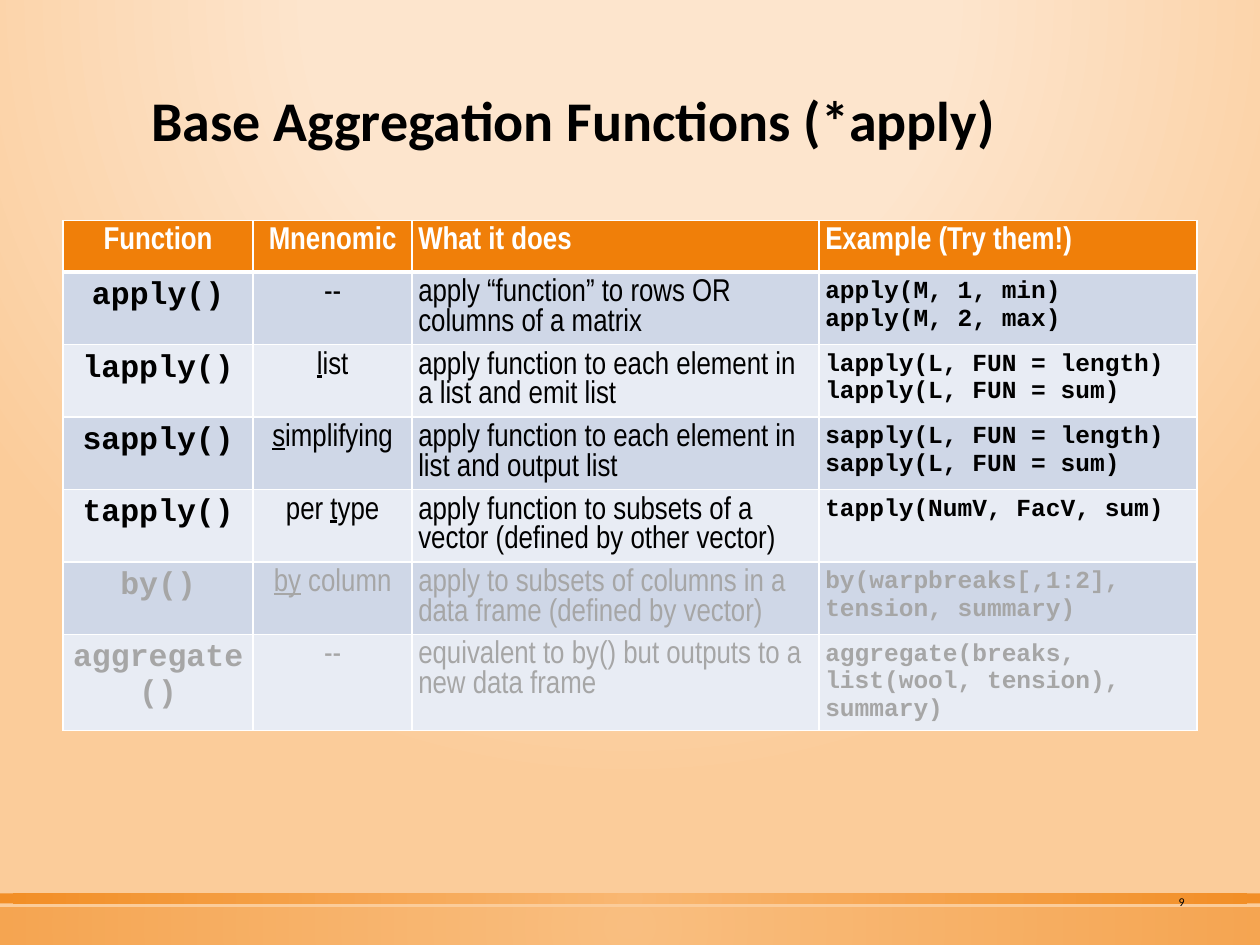
import copy

import pptx
import pptx.dml.color
import pptx.enum.shapes
import pptx.enum.text
import pptx.oxml
import pptx.oxml.ns
import pptx.util

Inches = pptx.util.Inches
Pt = pptx.util.Pt
ALIGN = pptx.enum.text.PP_ALIGN
MIDDLE = pptx.enum.text.MSO_ANCHOR.MIDDLE

COLORS = {
    "black": "000000", "white": "FFFFFF", "grey": "A6A6A6",
    "header": "F07F09", "band_dark": "CFD7E7", "band_light": "E8ECF4",
    "bar_inner": "F9B268", "bar_outer": "F07F09",
    "bg_inner": "FDE5CD", "bg_outer": "FBCC9A",
}
HEADERS = ["Function", "Mnenomic", "What it does", "Example (Try them!)"]
ROWS = [
    ["apply()", "--", "apply “function” to rows OR columns of a matrix",
     "apply(M, 1, min)\napply(M, 2, max)"],
    ["lapply()", "_l_ist", "apply function to each element in a list and emit list",
     "lapply(L, FUN = length)\nlapply(L, FUN = sum)"],
    ["sapply()", "_s_implifying", "apply function to each element in list and output list",
     "sapply(L, FUN = length)\nsapply(L, FUN = sum)"],
    ["tapply()", "per _t_ype", "apply function to subsets of a vector (defined by other vector)",
     "tapply(NumV, FacV, sum)"],
    ["by()", "_by_ column", "apply to subsets of columns in a data frame (defined by vector)",
     "by(warpbreaks[,1:2], tension, summary)"],
    ["aggregate()", "--", "equivalent to by() but outputs to a new data frame",
     "aggregate(breaks, list(wool, tension), summary)"],
]
GREYED = {"by()", "aggregate()"}
COLUMN_WIDTHS = [1.51, 1.26, 3.23, 3]
ROW_HEIGHTS = [0.41] + [0.57] * 5 + [0.76]
COLUMN_ALIGN = [ALIGN.CENTER, ALIGN.CENTER, ALIGN.LEFT, ALIGN.LEFT]
LINE_HEIGHT = {"Arial Narrow": 0.95, "Courier New": 1.13}
HEADER_FORMAT = {"name": "Arial Narrow", "size": Pt(18), "bold": True}
COLUMN_FORMATS = [
    {"name": "Courier New", "size": Pt(18), "bold": True},
    {"name": "Arial Narrow", "size": Pt(18), "bold": False},
    {"name": "Arial Narrow", "size": Pt(18), "bold": False},
    {"name": "Courier New", "size": Pt(14), "bold": True},
]


def rgb(color):
    """Return the named colour as an RGB value."""
    return pptx.dml.color.RGBColor.from_string(COLORS[color])


def set_attrs(obj, values):
    """Set every attribute in a dict of values."""
    for name, value in values.items():
        setattr(obj, name, value)


def add_run(p, text, color, values):
    """Add a formatted run to a paragraph."""
    r = p.add_run()
    r.text = text
    set_attrs(r.font, values)
    r.font.color.rgb = rgb(color)
    return r


def set_radial_fill(owner, fill, stops, rect):
    """Give a fill a circular gradient of (position, colour, opacity) stops."""
    fill.solid()
    gs = "".join(
        f'<a:gs pos="{pos * 1000}"><a:srgbClr val="{COLORS[color]}">'
        f'<a:alpha val="{alpha * 1000}"/></a:srgbClr></a:gs>'
        for pos, color, alpha in stops)
    sides = " ".join(f'{side}="{value * 1000}"' for side, value in zip("ltrb", rect))
    grad = pptx.oxml.parse_xml(
        f'<a:gradFill {pptx.oxml.ns.nsdecls("a")} rotWithShape="1"><a:gsLst>{gs}</a:gsLst>'
        f'<a:path path="circle"><a:fillToRect {sides}/></a:path></a:gradFill>')
    solid = owner.xpath(".//a:solidFill")[0]
    solid.getparent().replace(solid, grad)


def add_bar(s, box, alpha):
    """Add one translucent footer bar."""
    sp = s.shapes.add_shape(pptx.enum.shapes.MSO_SHAPE.RECTANGLE, *map(Inches, box))
    sp.shadow.inherit = False
    sp.line.fill.background()
    stops = [(0, "bar_inner", alpha), (100, "bar_outer", alpha)]
    set_radial_fill(sp.element, sp.fill, stops, (50, 50, 50, 50))


def add_backdrop(s):
    """Fill the background and add the footer bars."""
    stops = [(0, "bg_inner", 59), (40, "bg_inner", 66), (100, "bg_outer", 100)]
    set_radial_fill(s.element, s.background.fill, stops, (50, -80, 50, 180))
    add_bar(s, (0, 7.2, 10, 0.3), 50)
    add_bar(s, (0, 7.09, 10, 0.08), 80)


def add_title(s, box, text):
    """Place and fill the title placeholder."""
    sp = s.shapes.title
    set_attrs(sp, dict(zip(("left", "top", "width", "height"), map(Inches, box))))
    tf = sp.text_frame
    set_attrs(tf, {"word_wrap": True, "vertical_anchor": MIDDLE})
    p = tf.paragraphs[0]
    set_attrs(p, {"alignment": ALIGN.LEFT, "line_spacing": 0.9})
    add_run(p, text, "black", {"name": "Calibri", "size": Pt(32), "bold": True})


def add_page_number(s, box, text):
    """Add the page number at the right of the footer."""
    tf = s.shapes.add_textbox(*map(Inches, box)).text_frame
    set_attrs(tf, {"word_wrap": True, "vertical_anchor": MIDDLE})
    p = tf.paragraphs[0]
    p.alignment = ALIGN.RIGHT
    add_run(p, text, "black", {"name": "Calibri", "size": Pt(6.8)})


def set_borders(cell, widths):
    """Draw white borders on a cell from a dict of side and width."""
    tc_pr = cell._tc.get_or_add_tcPr()
    for side, width in widths.items():
        tc_pr.append(pptx.oxml.parse_xml(
            f'<a:ln{side} {pptx.oxml.ns.nsdecls("a")} w="{Pt(width)}"><a:solidFill>'
            f'<a:srgbClr val="{COLORS["white"]}"/></a:solidFill></a:ln{side}>'))


def fill_cell(cell, text, align, color, values):
    """Write cell text, where underscores enclose underlined letters."""
    margins = ("margin_left", "margin_right", "margin_top", "margin_bottom")
    set_attrs(cell, dict.fromkeys(margins, Inches(0.05)))
    p = cell.text_frame.paragraphs[0]
    spacing = Pt(values["size"].pt * LINE_HEIGHT[values["name"]])
    set_attrs(p, {"alignment": align, "line_spacing": spacing})
    for i, line in enumerate(text.split("\n")):
        if i:
            p.add_line_break()
            p._p[-1].append(copy.deepcopy(r._r.rPr))
        for j, part in enumerate(line.split("_")):
            if part:
                r = add_run(p, part, color, values)
                if j % 2:
                    r.font.underline = True


def add_function_table(s, box):
    """Add the table of aggregation functions."""
    rows = [HEADERS] + ROWS
    table = s.shapes.add_table(len(rows), len(HEADERS), *map(Inches, box)).table
    for column, width in zip(table.columns, COLUMN_WIDTHS):
        column.width = Inches(width)
    for i, texts in enumerate(rows):
        table.rows[i].height = Inches(ROW_HEIGHTS[i])
        if i == 0:
            fill, color = "header", "white"
        else:
            fill = "band_dark" if i % 2 else "band_light"
            color = "grey" if texts[0] in GREYED else "black"
        for j, text in enumerate(texts):
            cell = table.cell(i, j)
            fill_cell(cell, text, COLUMN_ALIGN[j], color, COLUMN_FORMATS[j] if i else HEADER_FORMAT)
            set_borders(cell, {"L": 1, "R": 1, "T": 3 if i == 1 else 1, "B": 1 if i else 3})
            cell.fill.solid()
            cell.fill.fore_color.rgb = rgb(fill)


def main():
    """Build and save the slide."""
    prs = pptx.Presentation()
    set_attrs(prs, {"slide_width": Inches(10), "slide_height": Inches(7.5)})
    s = prs.slides.add_slide(prs.slide_layouts[5])
    add_backdrop(s)
    add_title(s, (1.1, 0.51, 7.8, 0.94), "Base Aggregation Functions (*apply)")
    add_page_number(s, (9.23, 7.01, 0.27, 0.29), "9")
    add_function_table(s, (0.5, 1.75, 9, sum(ROW_HEIGHTS)))
    prs.save("out.pptx")


if __name__ == "__main__":
    main()
